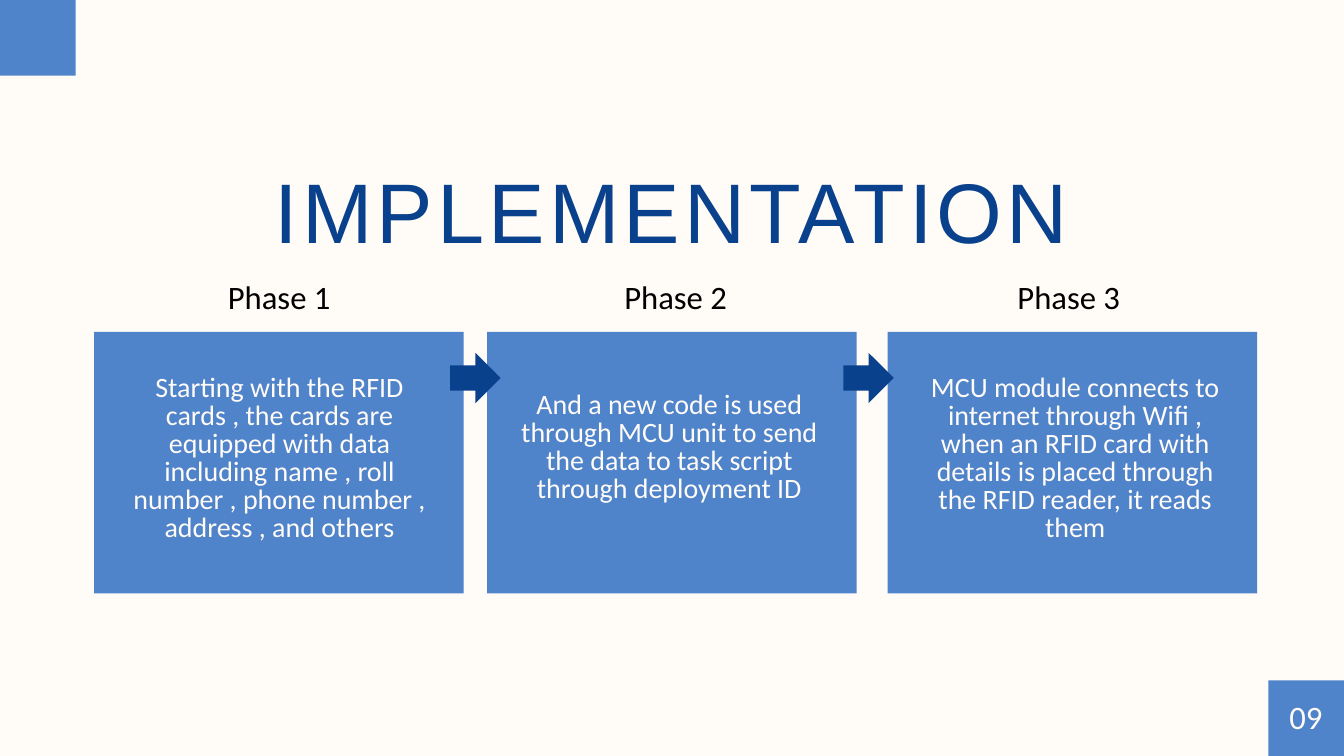
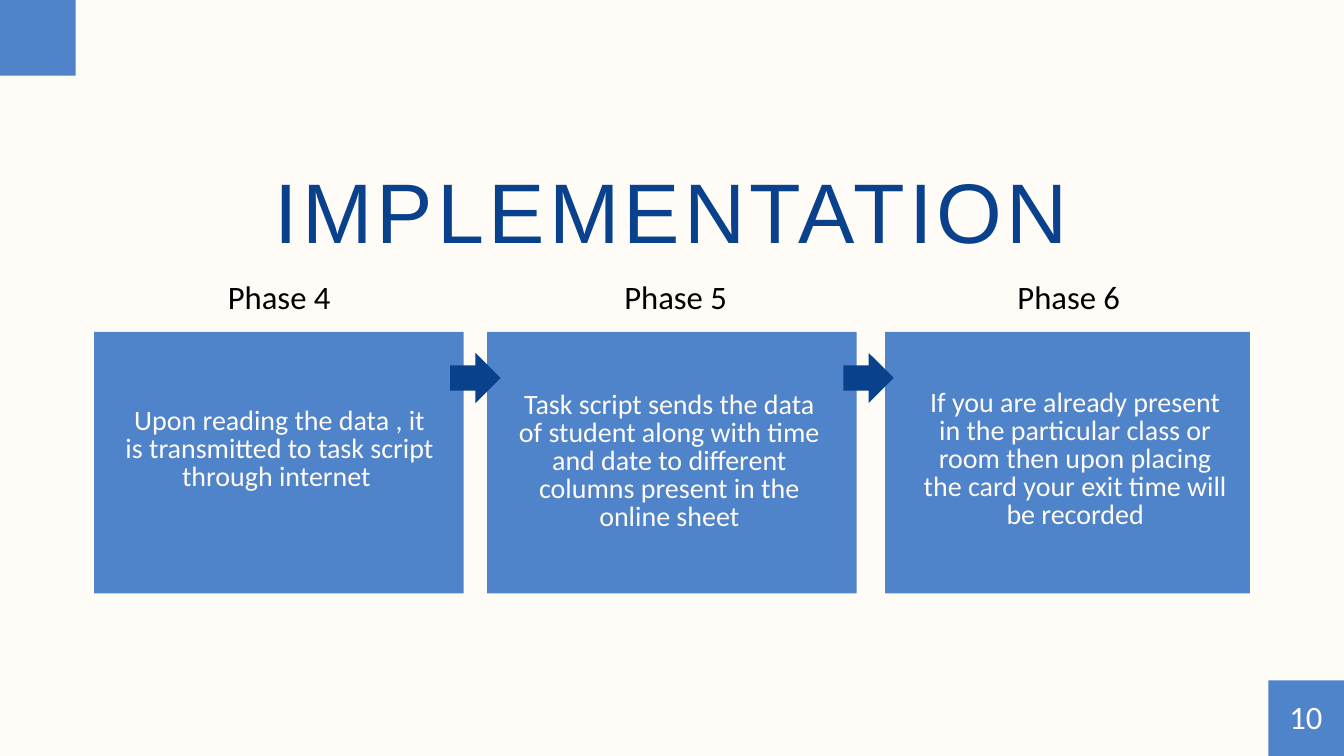
from pptx import Presentation
from pptx.dml.color import RGBColor
from pptx.enum.shapes import MSO_SHAPE
from pptx.enum.text import MSO_AUTO_SIZE, PP_ALIGN
from pptx.oxml.ns import qn
from pptx.util import Inches, Pt
from lxml import etree

RECT, ARROW = MSO_SHAPE.RECTANGLE, MSO_SHAPE.RIGHT_ARROW
CENTER = PP_ALIGN.CENTER
GROW = MSO_AUTO_SIZE.SHAPE_TO_FIT_TEXT
rgb = RGBColor.from_string

CREAM, BLUE, NAVY, BLACK = "FFFBF7", "155CBB", "09418C", "000000"

# Grid: 20 columns wide, square cells
prs = Presentation()
prs.slide_width, prs.slide_height = Inches(20), Inches(11.25)
CELL = prs.slide_width / 20
COLS, ROWS = 20, 11.25
CORNER = ROWS / 10
BOX_W, BOX_H, BOX_TOP = 5.5, 3.89, 4.94
BODY_X = [1.85, 7.65, 13.69]
BODY_W = 4.62
LABEL_X = [2.8, 8.7, 14.55]
LABEL_W, LABEL_TOP = 2.71, 4.22
ARROW_X, ARROW_STEP, ARROW_TOP, ARROW_SIZE = 6.7, 5.85, 5.25, 0.75


def add_block(slide, kind, *at, color=BLUE, alpha=75):
    sp = slide.shapes.add_shape(kind, *(round(v * CELL) for v in at))
    sp.shadow.inherit = False
    sp.fill.solid()
    sp.fill.fore_color.rgb = rgb(color)
    sp.line.fill.background()
    if alpha < 100:
        clr = sp.fill._xPr.find(".//" + qn("a:srgbClr"))
        etree.SubElement(clr, qn("a:alpha")).set("val", str(alpha * 1000))


def add_text(slide, text, *at, size=30, color=CREAM, font="Calibri", spacing=0):
    sp = slide.shapes.add_textbox(*(round(v * CELL) for v in at))
    tf = sp.text_frame
    tf.word_wrap, tf.auto_size = True, GROW
    tf.margin_left = tf.margin_right = tf.margin_top = tf.margin_bottom = 0
    p = tf.paragraphs[0]
    p.alignment, p.line_spacing = CENTER, Pt(size)
    r = p.add_run()
    r.text = text
    r.font.name, r.font.size = font, Pt(size)
    r.font.color.rgb = rgb(color)
    if spacing:
        r.font._element.set("spc", str(round(spacing * 100)))


# Each slide: page number, then left, width, text top, text height and text of each phase
slides = [
    ("09", [
        (1.4, BOX_W, 5.58, 2.52, "Starting with the RFID cards , the cards are equipped with data "
         "including name , roll number , phone number , address , and others"),
        (7.25, BOX_W, 5.83, 2.1, "And a new code is used through MCU unit to send the data to "
         "task script through deployment ID"),
        (13.21, BOX_W, 5.58, 2.52, "MCU module connects to internet through Wifi , when an RFID card "
         "with details is placed through the RFID reader, it reads them"),
    ]),
    ("10", [
        (1.4, BOX_W, 6.08, 1.26, "Upon reading the data , it is transmitted to task script "
         "through internet "),
        (7.25, BOX_W, 5.83, 2.52, "Task script sends the data of student along with time and date "
         "to different columns present in the online sheet"),
        (13.17, 5.43, 5.81, 2.52, "If you are already present in the particular class or room then "
         "upon placing the card your exit time will be recorded"),
    ]),
]

phase = 0
for number, phases in slides:
    s = prs.slides.add_slide(prs.slide_layouts[6])
    s.background.fill.solid()
    s.background.fill.fore_color.rgb = rgb(CREAM)

    # Corner squares, title and page number
    add_block(s, RECT, 0, 0, CORNER, CORNER)
    add_block(s, RECT, COLS - CORNER, ROWS - CORNER, CORNER, CORNER)
    add_text(s, "IMPLEMENTATION", 3.6, 2.61, 12.79, 1.31,
             size=90.6, color=NAVY, font="Arial", spacing=4.5)
    add_text(s, number, 18.97, 10.47, 0.93, 0.5, size=35)

    # Phase boxes with labels
    for (left, width, top, height, body), body_x, label_x in zip(phases, BODY_X, LABEL_X):
        phase += 1
        add_block(s, RECT, left, BOX_TOP, width, BOX_H)
        add_text(s, f"Phase {phase}", label_x, LABEL_TOP, LABEL_W, 0.5, size=35, color=BLACK)
        add_text(s, body, body_x, top, BODY_W, height)

    # Arrows between the boxes
    for i in range(len(phases) - 1):
        add_block(s, ARROW, ARROW_X + i * ARROW_STEP, ARROW_TOP, ARROW_SIZE, ARROW_SIZE,
                  color=NAVY, alpha=100)

prs.save("out.pptx")
